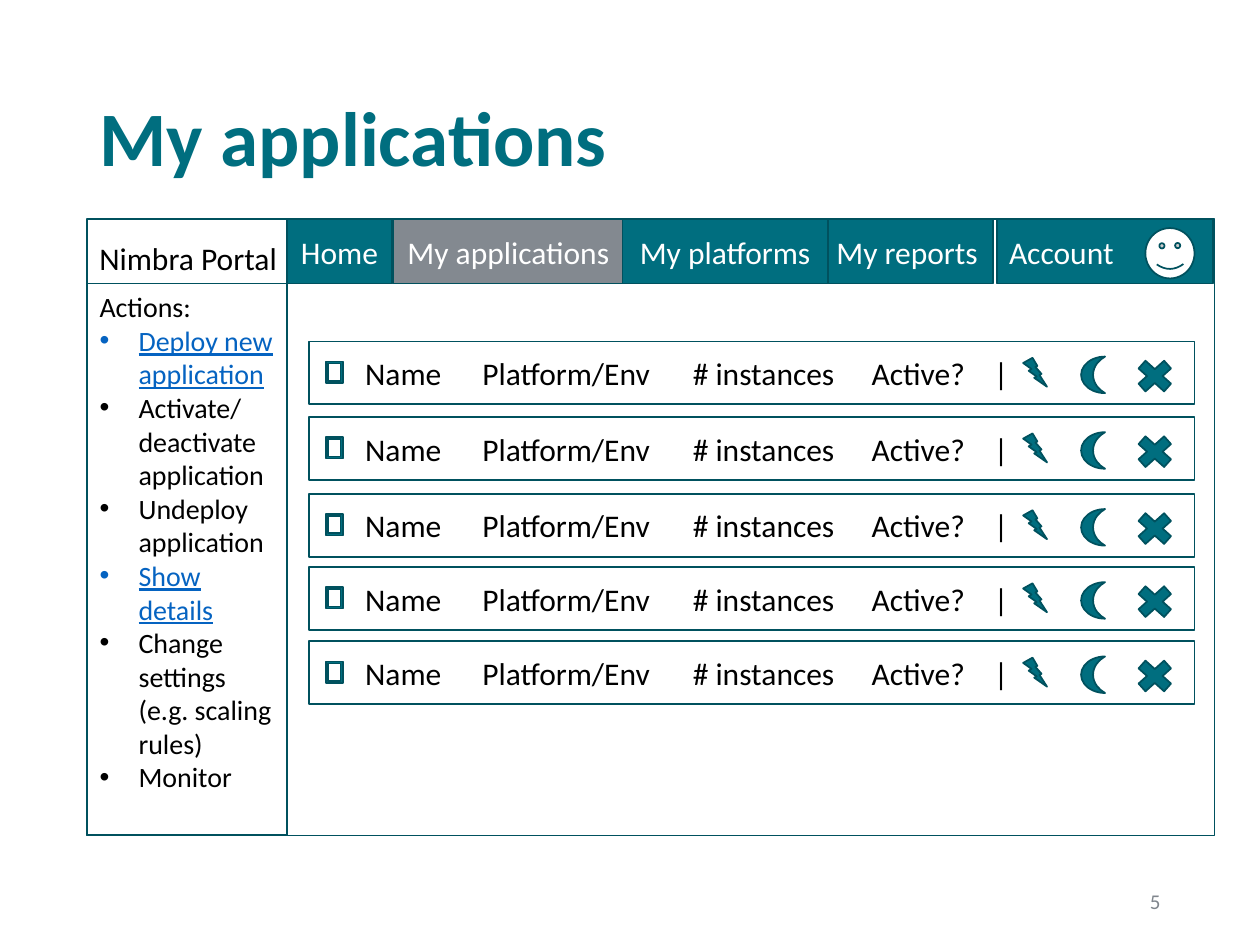
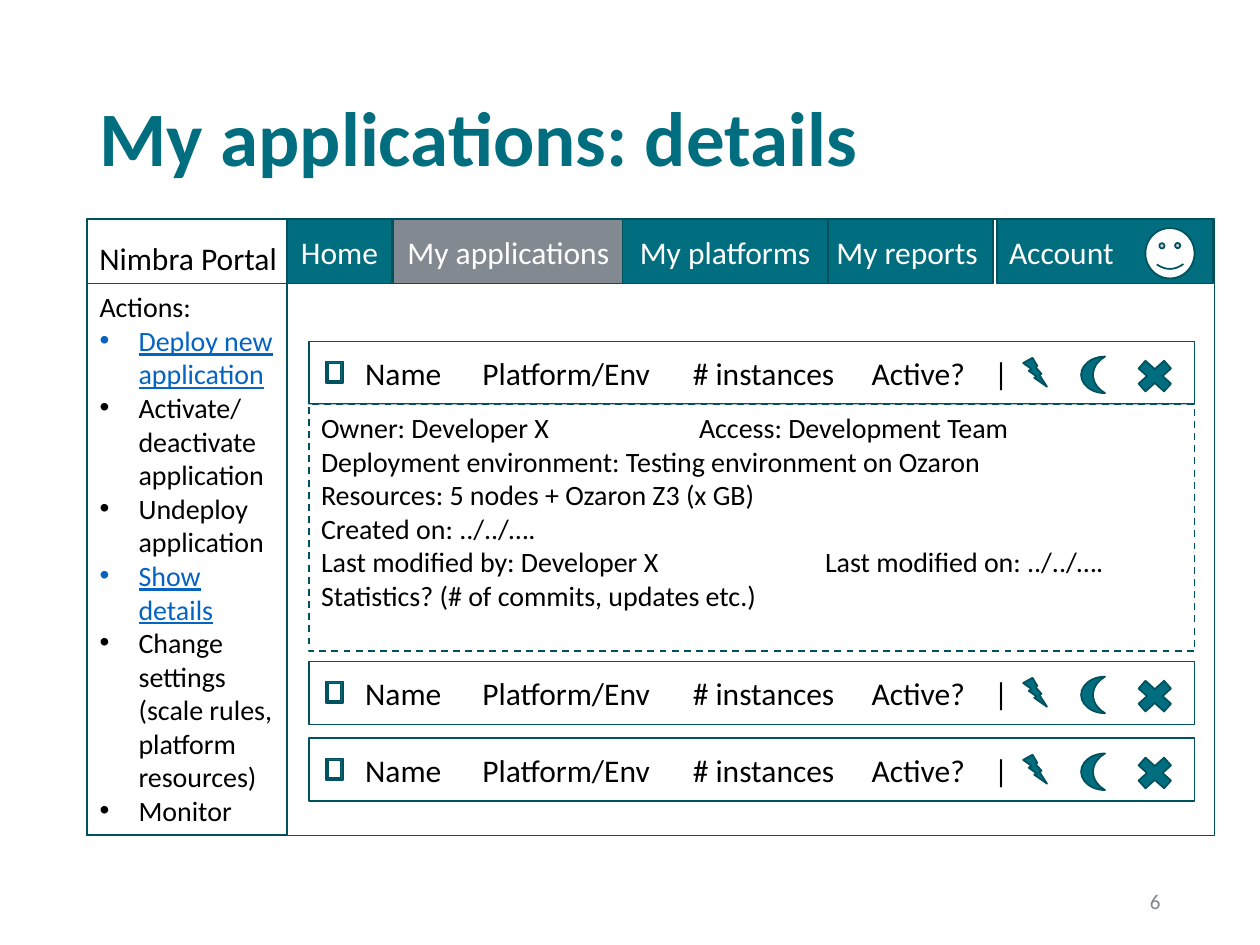
"""Build two wireframe slides of an application portal."""
from dataclasses import dataclass

from lxml import etree
from pptx import Presentation
from pptx.dml.color import RGBColor
from pptx.enum.dml import MSO_LINE
from pptx.enum.shapes import MSO_SHAPE
from pptx.enum.text import MSO_ANCHOR, MSO_AUTO_SIZE, PP_ALIGN
from pptx.oxml.ns import qn
from pptx.util import Inches, Pt

LEFT, CENTER, RIGHT = PP_ALIGN.LEFT, PP_ALIGN.CENTER, PP_ALIGN.RIGHT
TOP, MIDDLE = MSO_ANCHOR.TOP, MSO_ANCHOR.MIDDLE
FIXED = MSO_AUTO_SIZE.NONE
DASH = MSO_LINE.DASH
RECTANGLE, SMILEY = MSO_SHAPE.RECTANGLE, MSO_SHAPE.SMILEY_FACE
CHECKBOX, DELETE = MSO_SHAPE.FRAME, MSO_SHAPE.MATH_MULTIPLY
BOLT, MOON = MSO_SHAPE.LIGHTNING_BOLT, MSO_SHAPE.MOON


@dataclass(frozen=True)
class Theme:
    font: str = "Calibri"
    teal: str = "006E7F"
    outline: str = "00515E"
    selected: str = "838990"
    footer: str = "80868D"
    link: str = "0563C1"
    black: str = "000000"
    white: str = "FFFFFF"
    title_size: int = 44
    label_size: int = 18
    body_size: int = 16
    footer_size: int = 12


THEME = Theme()
ROW_LEFT, ROW_WIDTH, ROW_HEIGHT = 2.45, 7.03, 0.5
BAR_TOP, BAR_HEIGHT = 1.74, 0.51
TABS = (
    ("Home", 2.28, 0.83),
    ("My applications", 3.12, 1.83),
    ("My reports", 6.52, 1.36),
    ("My platforms", 4.94, 1.63),
    ("Account", 7.91, 1.72),
)
COLUMNS = (("Name", 2.8, 0.81), ("Platform/Env", 3.73, 1.55), ("# instances", 5.4, 1.34))
ICONS = (
    (CHECKBOX, 2.59, 0.16, 0.13, 0.17),
    (DELETE, 8.97, 0.1, 0.39, 0.35),
    (BOLT, 8.12, 0.13, 0.19, 0.23),
    (MOON, 8.58, 0.12, 0.19, 0.29),
)
LINKS = ("Deploy new application", "Show details")
DETAILS = (
    ("Owner: Developer X\tAccess: Development Team", 3),
    ("Deployment environment: Testing environment on Ozaron", None),
    ("Resources: 5 nodes + Ozaron Z3 (x GB)", None),
    ("Created on: ../../….", None),
    ("Last modified by: Developer X\tLast modified on: ../../….", 4),
    ("Statistics? (# of commits, updates etc.)", None),
)


class PortalDeck:
    """Hold the theme and the current slide, and draw each kind of element."""

    def __init__(self, theme):
        self.theme = theme
        self.deck = Presentation()
        self.deck.slide_width, self.deck.slide_height = Inches(10), Inches(7.5)

    def new_page(self, title, number):
        self.page = self.deck.slides.add_slide(self.deck.slide_layouts[1])
        self.shapes = self.page.shapes
        box = self.page.shapes.title
        self.place(box, 0.69, 0.4, 8.62, 1.45)
        self.prepare(box.text_frame, MIDDLE)
        self.set_text(box.text_frame.paragraphs[0], title, self.theme.title_size,
                      self.theme.teal, bold=True)
        box.text_frame.paragraphs[0].line_spacing = 0.9
        self.label(number, 7.06, 6.95, 2.25, 0.4, self.theme.footer_size,
                   self.theme.footer, RIGHT, wrap=True)

    def place(self, box, left, top, width, height):
        box.left, box.top = Inches(left), Inches(top)
        box.width, box.height = Inches(width), Inches(height)

    def prepare(self, frame, anchor, wrap=True):
        frame.auto_size = FIXED
        frame.word_wrap = wrap
        frame.vertical_anchor = anchor

    def set_text(self, para, text, size, color, align=LEFT, bold=False, underline=False):
        para.text = text
        para.alignment = align
        for span in para.runs:
            span.font.name = self.theme.font
            span.font.size = Pt(size)
            span.font.bold = bold
            span.font.underline = underline
            span.font.color.rgb = RGBColor.from_string(color)

    def tab_stop(self, para, position):
        stops = etree.SubElement(para._p.get_or_add_pPr(), qn("a:tabLst"))
        etree.SubElement(stops, qn("a:tab"), pos=str(Inches(position)), algn="l")

    def paint(self, box, fill, dash=None):
        if fill:
            box.fill.solid()
            box.fill.fore_color.rgb = RGBColor.from_string(fill)
        else:
            box.fill.background()
        box.line.color.rgb = RGBColor.from_string(self.theme.outline)
        box.line.width = Pt(1)
        if dash:
            box.line.dash_style = dash

    def shape(self, kind, left, top, width, height, fill=None, dash=None):
        box = self.shapes.add_shape(kind, Inches(left), Inches(top),
                                    Inches(width), Inches(height))
        box.shadow.inherit = False
        self.paint(box, fill, dash)
        return box

    def label(self, text, left, top, width, height, size, color, align=LEFT, wrap=False):
        box = self.shapes.add_textbox(Inches(left), Inches(top), Inches(width), Inches(height))
        self.prepare(box.text_frame, MIDDLE, wrap)
        self.set_text(box.text_frame.paragraphs[0], text, size, color, align)
        return box

    def portal(self, actions):
        theme = self.theme
        self.shape(RECTANGLE, 0.69, BAR_TOP, 8.95, 4.89)
        self.label("Nimbra Portal", 0.69, 1.85, 1.59, 0.4, theme.label_size, theme.black)
        for name, left, width in TABS:
            fill = theme.selected if name == "My applications" else theme.teal
            tab = self.shape(RECTANGLE, left, BAR_TOP, width, BAR_HEIGHT, fill)
            self.prepare(tab.text_frame, MIDDLE)
            self.set_text(tab.text_frame.paragraphs[0], name, theme.label_size, theme.white,
                          LEFT if name == "Account" else CENTER)
        self.shape(SMILEY, 9.09, 1.81, 0.39, 0.4, theme.white).rotation = 359
        self.action_list(actions)

    def action_list(self, actions):
        box = self.page.placeholders[1]
        self.place(box, 0.69, 2.25, 1.59, 4.38)
        self.paint(box, self.theme.white)
        frame = box.text_frame
        self.prepare(frame, TOP)
        frame.text = "\n".join(("Actions:",) + actions)
        for index, para in enumerate(frame.paragraphs):
            linked = para.text in LINKS
            self.set_text(para, para.text, self.theme.body_size,
                          self.theme.link if linked else self.theme.black, underline=linked)
            para.space_before = Pt(0)
            indent = Inches(0.31) if index else 0
            properties = para._p.get_or_add_pPr()
            properties.set("marL", str(indent))
            properties.set("indent", str(-indent))
            if index:
                etree.SubElement(properties, qn("a:buFont"), typeface="Arial")
                etree.SubElement(properties, qn("a:buChar"), char="•")
            else:
                etree.SubElement(properties, qn("a:buNone"))

    def application_row(self, top):
        theme = self.theme
        self.shapes = self.page.shapes.add_group_shape().shapes
        self.shape(RECTANGLE, ROW_LEFT, top, ROW_WIDTH, ROW_HEIGHT, theme.white)
        for text, left, width in COLUMNS:
            self.label(text, left, top + 0.05, width, 0.4, theme.label_size, theme.black)
        status = self.label("Active?\t|", 6.82, top + 0.05, 1.3, 0.4,
                            theme.label_size, theme.black, wrap=True)
        status.text_frame.margin_right = 0
        self.tab_stop(status.text_frame.paragraphs[0], 0.97)
        for kind, left, offset, width, height in ICONS:
            self.shape(kind, left, top + offset, width, height, theme.teal)
        self.shapes = self.page.shapes

    def details(self, lines):
        box = self.shape(RECTANGLE, ROW_LEFT, 3.21, ROW_WIDTH, 1.96, self.theme.white, DASH)
        frame = box.text_frame
        self.prepare(frame, TOP)
        frame.text = "\n".join(text for text, stop in lines)
        for para, (text, stop) in zip(frame.paragraphs, lines):
            self.set_text(para, text, self.theme.body_size, self.theme.black)
            if stop:
                self.tab_stop(para, stop)


def actions(toggle, settings):
    return ("Deploy new application", toggle, "Undeploy application",
            "Show details", f"Change settings ({settings})", "Monitor")


def main():
    portal = PortalDeck(THEME)

    portal.new_page("My applications", "5")
    portal.portal(actions("Activate/deactivate application", "e.g. scaling rules"))
    for top in (2.71, 3.31, 3.92, 4.5, 5.09):
        portal.application_row(top)

    portal.new_page("My applications: details", "6")
    portal.portal(actions("Activate/ deactivate application",
                          "scale rules, platform resources"))
    for top in (2.71, 5.25, 5.86):
        portal.application_row(top)
    portal.details(DETAILS)

    portal.deck.save("out.pptx")


if __name__ == "__main__":
    main()
